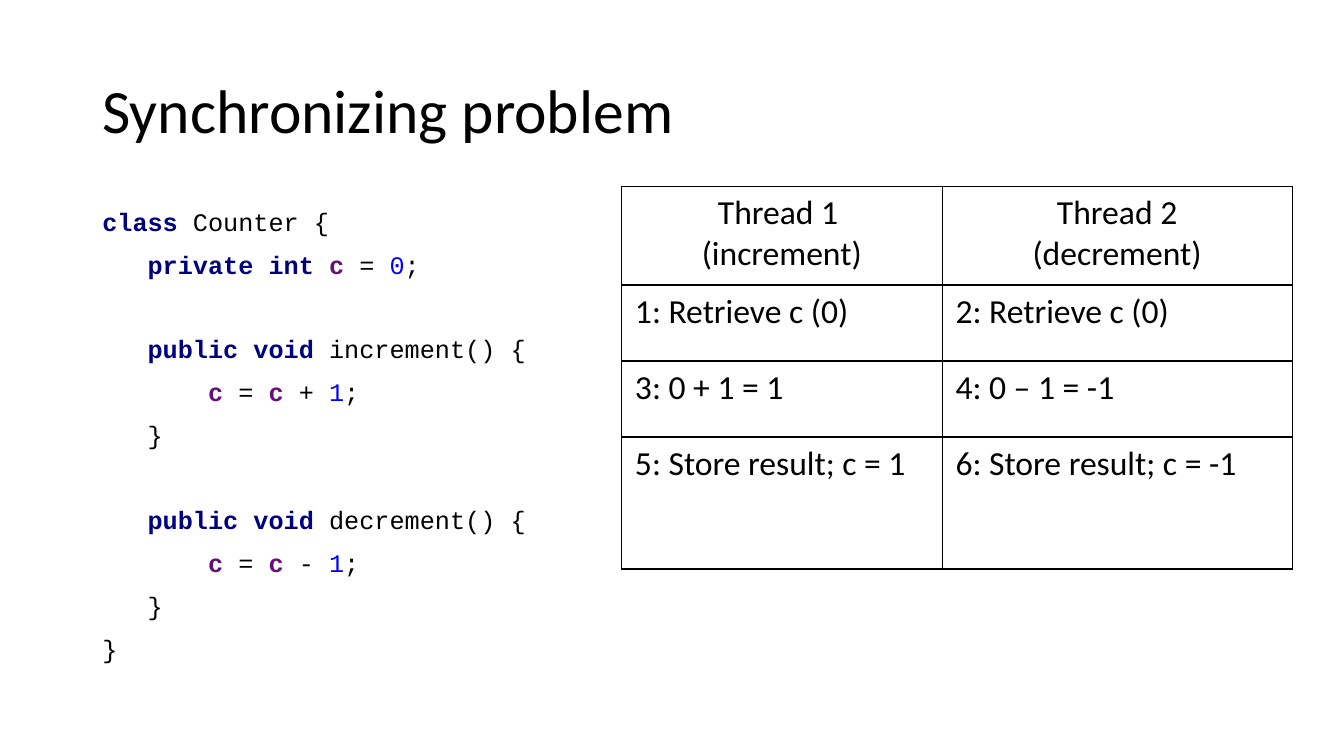
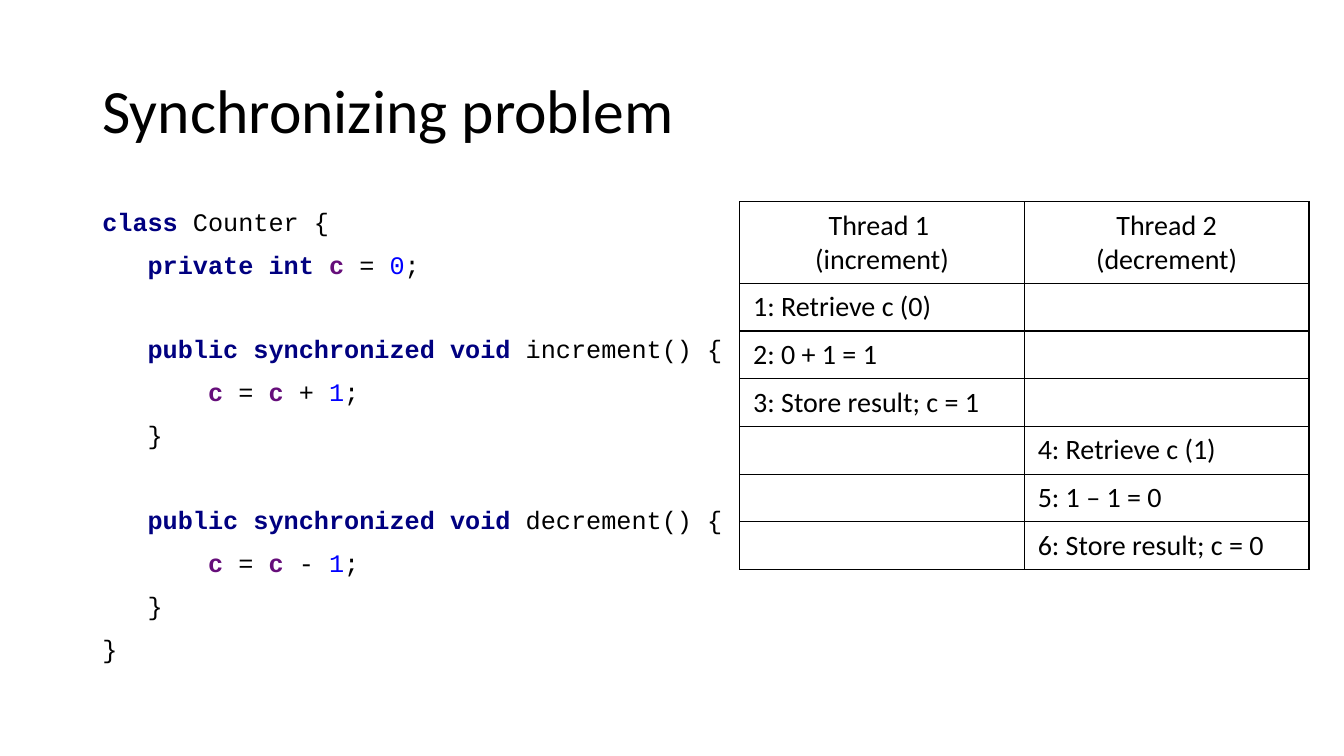
import pptx
import pptx.dml.color
import pptx.enum.text
import pptx.oxml
import pptx.oxml.ns
import pptx.util

Pt = pptx.util.Pt
RGBColor = pptx.dml.color.RGBColor
PP_ALIGN = pptx.enum.text.PP_ALIGN
MSO_ANCHOR = pptx.enum.text.MSO_ANCHOR

BLACK = RGBColor(0x00, 0x00, 0x00)
KEYWORD = RGBColor(0x00, 0x00, 0x80)
FIELD = RGBColor(0x66, 0x0E, 0x7A)
NUMBER = RGBColor(0x00, 0x00, 0xFF)

TEXT_FONT = "Calibri"
CODE_FONT = "Courier New"
CODE_SIZE = 18
CODE_GAP = 9.1
CODE_PITCH = 29.5
MARGIN = 66
CONTENT_WIDTH = 828
HEADER = ["Thread 1 \n(increment)", "Thread 2\n(decrement)"]


def method_lines(modifiers, name, operator):
    """Return the code lines of one counter method as (text, colour) spans."""
    return [
        [("   ", BLACK), (modifiers, KEYWORD), (f"{name}() {{", BLACK)],
        [("       ", BLACK), ("c ", FIELD), ("= ", BLACK), ("c ", FIELD),
         (f"{operator} ", BLACK), ("1", NUMBER), (";", BLACK)],
        [("   }", BLACK)],
    ]


def add_borders(cell):
    properties = cell._tc.get_or_add_tcPr()
    for position, side in enumerate(("lnL", "lnR", "lnT", "lnB")):
        properties.insert(position, pptx.oxml.parse_xml(
            f'<a:{side} {pptx.oxml.ns.nsdecls("a")} w="{Pt(1)}">'
            f'<a:solidFill><a:srgbClr val="{BLACK}"/></a:solidFill></a:{side}>'))


slides = [
    {
        "modifiers": "public void ",
        "left": 444, "top": 133, "size": 24,
        "columns": [229, 250],
        "heights": [70.6, 54.3, 54.3, 94.3],
        "rows": [
            HEADER,
            ["1: Retrieve c (0)", "2: Retrieve c (0)"],
            ["3: 0 + 1 = 1", "4: 0 – 1 = -1"],
            ["5: Store result; c = 1", "6: Store result; c = -1"],
        ],
    },
    {
        "modifiers": "public synchronized void ",
        "left": 528.4, "top": 144, "size": 20,
        "columns": [203.3, 203.3],
        "heights": [58.4] + [34.1] * 6,
        "rows": [
            HEADER,
            ["1: Retrieve c (0)", ""],
            ["2: 0 + 1 = 1", ""],
            ["3: Store result; c = 1", ""],
            ["", "4: Retrieve c (1)"],
            ["", "5: 1 – 1 = 0"],
            ["", "6: Store result; c = 0"],
        ],
    },
]

deck = pptx.Presentation()
deck.slide_width = Pt(960)
deck.slide_height = Pt(540)

for content in slides:
    page = deck.slides.add_slide(deck.slide_layouts[5])

    title = page.shapes.title
    title.left, title.top = Pt(MARGIN), Pt(28.8)
    title.width, title.height = Pt(CONTENT_WIDTH), Pt(104.4)
    title.text_frame.text = "Synchronizing problem"
    title.text_frame.vertical_anchor = MSO_ANCHOR.MIDDLE
    paragraph = title.text_frame.paragraphs[0]
    paragraph.alignment = PP_ALIGN.LEFT
    paragraph.line_spacing = 0.9
    font = paragraph.runs[0].font
    font.name, font.size, font.color.rgb = TEXT_FONT, Pt(44), BLACK

    # Each block of code is set apart by one line's worth of space.
    code_blocks = [
        [
            [("class ", KEYWORD), ("Counter {", BLACK)],
            [("   ", BLACK), ("private int ", KEYWORD), ("c ", FIELD),
             ("= ", BLACK), ("0", NUMBER), (";", BLACK)],
        ],
        method_lines(content["modifiers"], "increment", "+"),
        method_lines(content["modifiers"], "decrement", "-") + [[("}", BLACK)]],
    ]
    code_box = page.shapes.add_textbox(
        Pt(MARGIN), Pt(144), Pt(CONTENT_WIDTH), Pt(342.7))
    code_box.text_frame.word_wrap = True
    for block_index, block in enumerate(code_blocks):
        for line_index, spans in enumerate(block):
            if block_index == line_index == 0:
                paragraph = code_box.text_frame.paragraphs[0]
            else:
                paragraph = code_box.text_frame.add_paragraph()
                gap = CODE_GAP if line_index else CODE_GAP + CODE_PITCH
                paragraph.space_before = Pt(gap)
            for text, colour in spans:
                span = paragraph.add_run()
                span.text = text
                span.font.name = CODE_FONT
                span.font.size = Pt(CODE_SIZE)
                span.font.bold = colour in (KEYWORD, FIELD)
                span.font.color.rgb = colour

    rows, columns, heights = content["rows"], content["columns"], content["heights"]
    table = page.shapes.add_table(
        len(rows), len(columns), Pt(content["left"]), Pt(content["top"]),
        Pt(sum(columns)), Pt(sum(heights))).table
    table.first_row = False
    table.horz_banding = False
    for column, width in zip(table.columns, columns):
        column.width = Pt(width)
    for row_index, (row, height) in enumerate(zip(table.rows, heights)):
        row.height = Pt(height)
        for cell, text in zip(row.cells, rows[row_index]):
            cell.margin_left = cell.margin_right = Pt(9.6)
            cell.margin_top = cell.margin_bottom = Pt(4.8)
            cell.fill.background()
            add_borders(cell)
            cell.text_frame.text = text
            for paragraph in cell.text_frame.paragraphs:
                paragraph.alignment = PP_ALIGN.LEFT if row_index else PP_ALIGN.CENTER
                for span in paragraph.runs:
                    span.font.name = TEXT_FONT
                    span.font.size = Pt(content["size"])
                    span.font.color.rgb = BLACK

deck.save("out.pptx")
